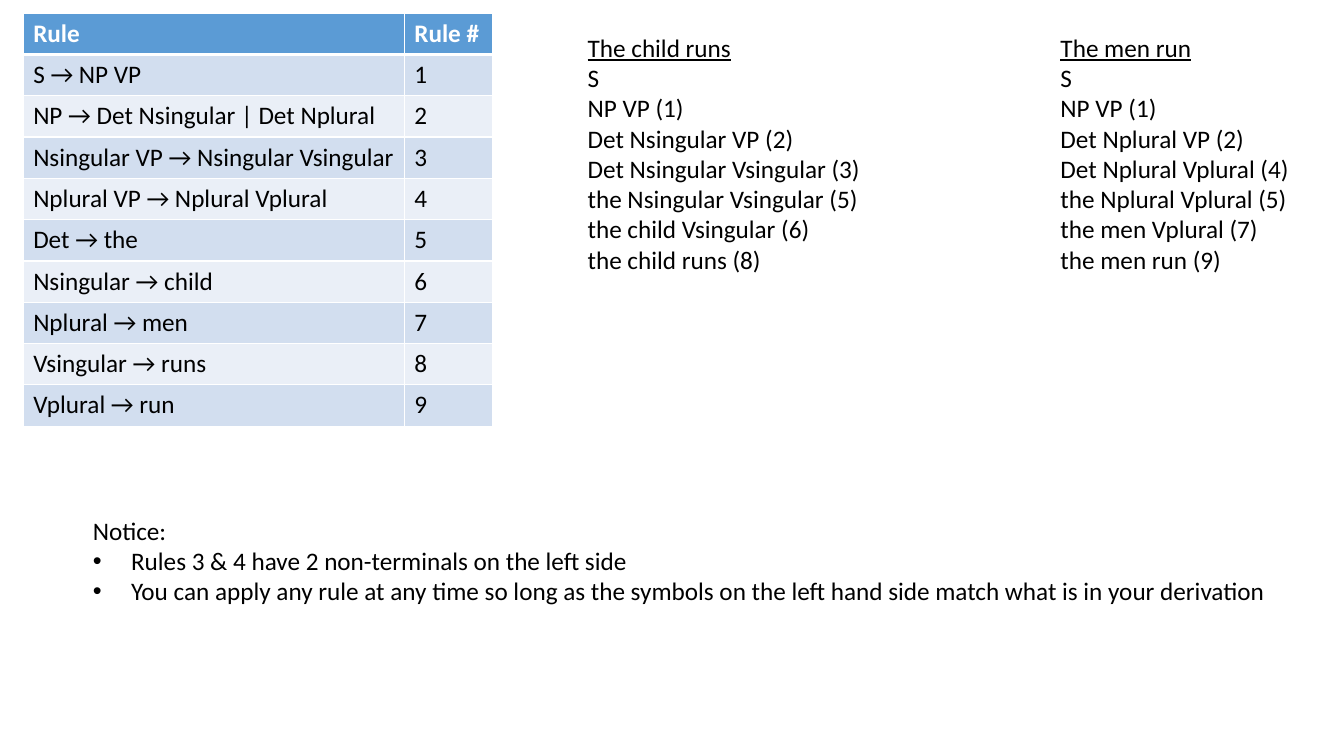
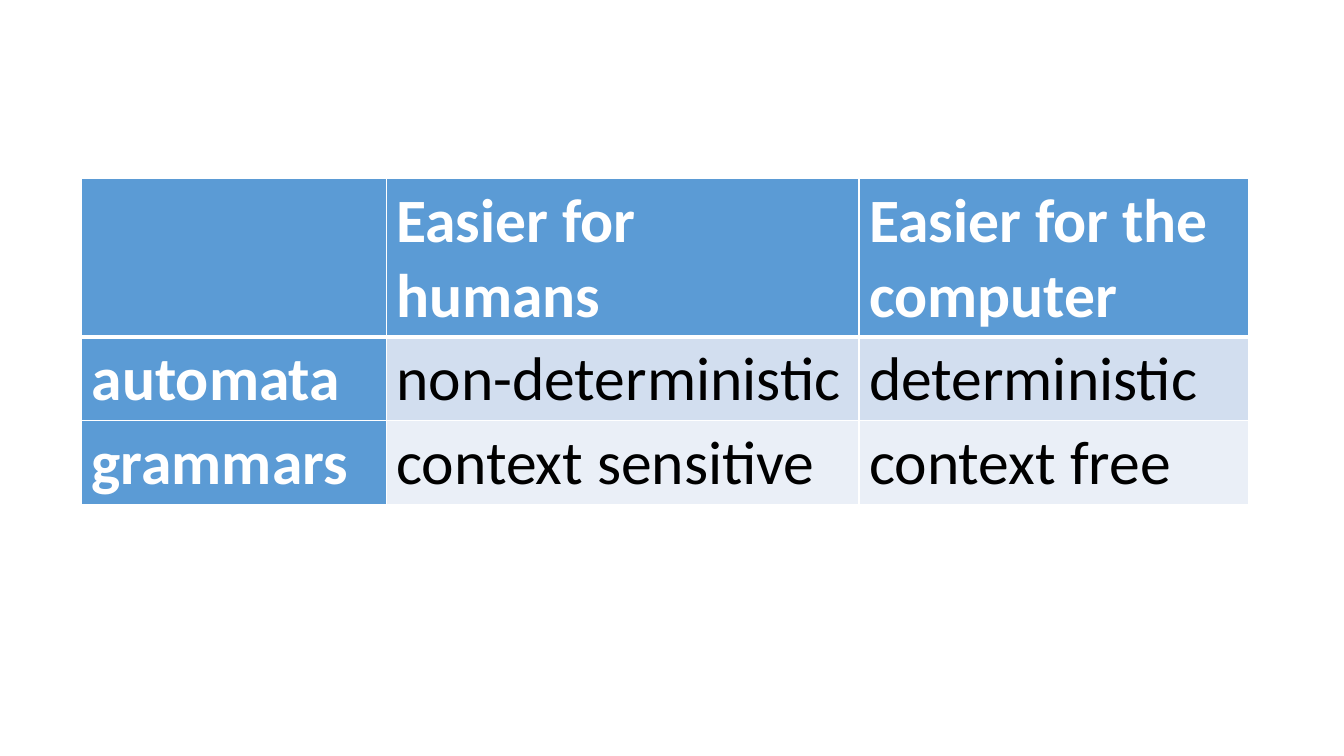
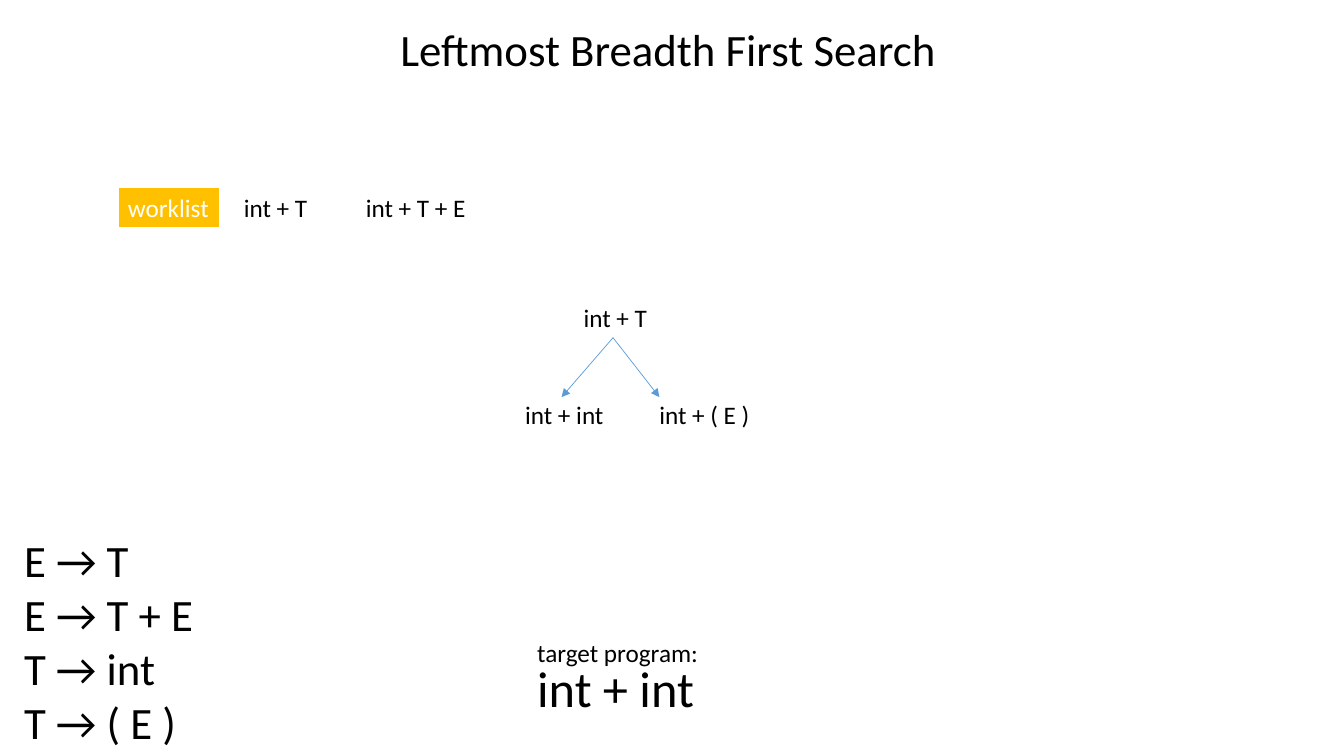
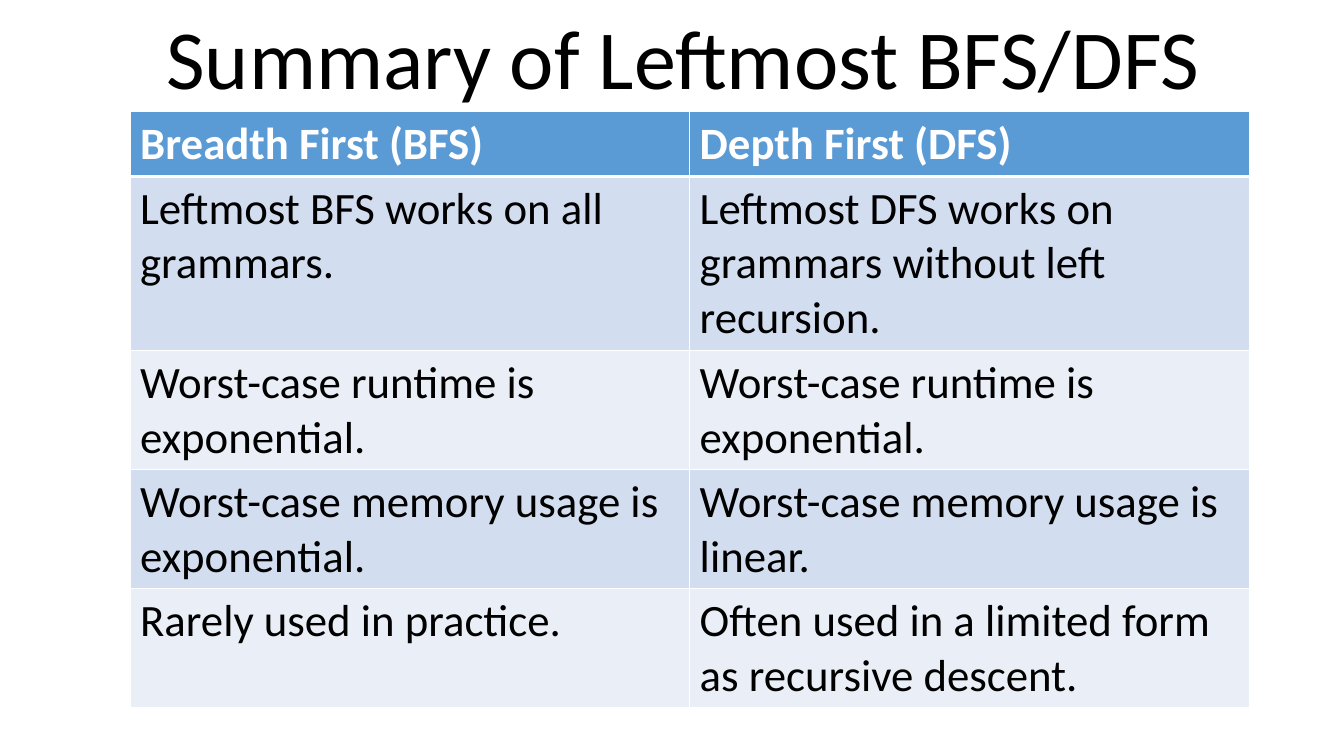
from dataclasses import dataclass

from lxml import etree
from pptx import Presentation
from pptx.dml.color import RGBColor
from pptx.enum.shapes import MSO_CONNECTOR, MSO_SHAPE
from pptx.enum.text import MSO_ANCHOR, MSO_AUTO_SIZE, PP_ALIGN
from pptx.oxml.ns import qn
from pptx.util import Inches, Pt


@dataclass(frozen=True)
class Theme:
    font: str = "Calibri"
    text: str = "000000"
    light: str = "FFFFFF"
    accent: str = "5B9BD5"
    highlight: str = "FFC000"
    bands: tuple = ("D2DEEF", "EAEFF7")
    body_size: int = 18
    title_size: int = 32
    rule_size: int = 32
    target_size: int = 36
    comparison_size: int = 44
    summary_title_size: int = 60


THEME = Theme()
TITLE_AND_BODY, TITLE_ONLY, BLANK = 1, 5, 6

# Content: grammar derivations
GRAMMAR = [
    "S → NP VP",
    "NP → Det Nsingular | Det Nplural",
    "Nsingular VP → Nsingular Vsingular",
    "Nplural VP → Nplural Vplural",
    "Det → the",
    "Nsingular → child",
    "Nplural → men",
    "Vsingular → runs",
    "Vplural → run",
]
DERIVATIONS = [
    ((5.73, 0.27, 2.99, 2.52), "The child runs",
     ["S", "NP VP (1)", "Det Nsingular VP (2)", "Det Nsingular Vsingular (3)",
      "the Nsingular Vsingular (5)", "the child Vsingular (6)", "the child runs (8)"]),
    ((10.42, 0.27, 2.53, 2.52), "The men run",
     ["S", "NP VP (1)", "Det Nplural VP (2)", "Det Nplural Vplural (4)",
      "the Nplural Vplural (5)", "the men Vplural (7)", "the men run (9)"]),
]
NOTICE = "Notice:"
NOTICE_POINTS = [
    "Rules 3 & 4 have 2 non-terminals on the left side",
    "You can apply any rule at any time so long as the symbols on the left hand side "
    "match what is in your derivation",
]

# Content: comparison of models
COMPARISON = [
    ["", "Easier for humans", "Easier for the computer"],
    ["automata", "non-deterministic", "deterministic"],
    ["grammars", "context sensitive", "context free"],
]

# Content: breadth first search
SEARCH_RULES = ["E → T", "E → T + E", "T → int", "T → ( E )"]
SEARCH_LABELS = [
    ("target program:", (5.23, 6.27, 1.88, 0.4)),
    ("int + T", (2.32, 1.86, 0.84, 0.4)),
    ("int + T + E", (3.53, 1.86, 1.2, 0.4)),
    ("int + T", (5.69, 2.95, 0.84, 0.4)),
    ("int + int", (5.11, 3.91, 0.99, 0.4)),
    ("int + ( E )", (6.44, 3.91, 1.11, 0.4)),
]
BRANCH_START = (6.08, 3.35)
BRANCH_ENDS = [(5.57, 3.94), (6.54, 3.94)]

# Content: summary
SUMMARY = [
    ["Breadth First (BFS)", "Depth First (DFS)"],
    ["Leftmost BFS works on all grammars.",
     "Leftmost DFS works on grammars without left recursion."],
    ["Worst-case runtime is exponential.", "Worst-case runtime is exponential."],
    ["Worst-case memory usage is exponential.", "Worst-case memory usage is linear."],
    ["Rarely used in practice.", "Often used in a limited form as recursive descent."],
]


def rgb(color):
    return RGBColor.from_string(color)


def inches(values):
    return [Inches(value) for value in values]


# Text
def add_run(paragraph, text, size, color=THEME.text, bold=False, underline=False):
    run = paragraph.add_run()
    run.text = text
    font = run.font
    font.name, font.size, font.bold = THEME.font, Pt(size), bold
    font.underline = underline
    font.color.rgb = rgb(color)


def write_lines(shape, lines, size, color=THEME.text, heading=False):
    """Fill a shape with one paragraph per line, sized to its text."""
    frame = shape.text_frame
    frame.word_wrap = False
    frame.auto_size = MSO_AUTO_SIZE.SHAPE_TO_FIT_TEXT
    frame.vertical_anchor = MSO_ANCHOR.TOP
    for index, line in enumerate(lines):
        paragraph = frame.add_paragraph() if index else frame.paragraphs[0]
        paragraph.alignment = PP_ALIGN.LEFT
        paragraph.space_before = Pt(0)
        add_run(paragraph, line, size, color, underline=heading and index == 0)


def add_text(slide, lines, box, size=THEME.body_size, heading=False):
    shape = slide.shapes.add_textbox(*inches(box))
    write_lines(shape, lines, size, heading=heading)


def fill_placeholder(shape, lines, box, size):
    shape.left, shape.top, shape.width, shape.height = inches(box)
    write_lines(shape, lines, size)


def set_bullet(paragraph, character=None, indent=0.0):
    properties = paragraph._p.get_or_add_pPr()
    properties.set("marL", str(Inches(indent)))
    properties.set("indent", str(-Inches(indent)))
    if character:
        font = etree.SubElement(properties, qn("a:buFont"))
        font.set("typeface", "Arial")
        etree.SubElement(properties, qn("a:buChar")).set("char", character)
    else:
        etree.SubElement(properties, qn("a:buNone"))


# Tables
def set_borders(cell, top, bottom):
    properties = cell._tc.get_or_add_tcPr()
    widths = {"a:lnL": 1, "a:lnR": 1, "a:lnT": top, "a:lnB": bottom}
    for position, (tag, width) in enumerate(widths.items()):
        line = etree.Element(qn(tag))
        line.set("w", str(Pt(width)))
        fill = etree.SubElement(line, qn("a:solidFill"))
        etree.SubElement(fill, qn("a:srgbClr")).set("val", THEME.light)
        properties.insert(position, line)


def add_grid(slide, rows, position, widths, heights, size, header_column=False):
    box = (*position, sum(widths), sum(heights))
    table = slide.shapes.add_table(len(rows), len(widths), *inches(box)).table
    table.horz_banding = False
    for column, width in zip(table.columns, widths):
        column.width = Inches(width)
    for row_index, (row, values) in enumerate(zip(table.rows, rows)):
        row.height = Inches(heights[row_index])
        for column_index, value in enumerate(values):
            cell = table.cell(row_index, column_index)
            header = row_index == 0 or (header_column and column_index == 0)
            cell.fill.solid()
            cell.fill.fore_color.rgb = rgb(
                THEME.accent if header else THEME.bands[(row_index - 1) % 2])
            set_borders(cell, top=3 if row_index == 1 else 1,
                        bottom=3 if row_index == 0 else 1)
            if value:
                add_run(cell.text_frame.paragraphs[0], value, size,
                        THEME.light if header else THEME.text, bold=header)


# Shapes
def add_arrow(slide, start, end):
    arrow = slide.shapes.add_connector(MSO_CONNECTOR.STRAIGHT, *inches((*start, *end)))
    arrow.line.color.rgb = rgb(THEME.accent)
    arrow.line.width = Pt(0.5)
    etree.SubElement(arrow.line._get_or_add_ln(), qn("a:tailEnd")).set("type", "triangle")
    etree.SubElement(arrow._element.spPr, qn("a:effectLst"))


def add_tag(slide, text, box):
    tag = slide.shapes.add_shape(MSO_SHAPE.RECTANGLE, *inches(box))
    tag.shadow.inherit = False
    tag.fill.solid()
    tag.fill.fore_color.rgb = rgb(THEME.highlight)
    tag.line.color.rgb = rgb(THEME.light)
    tag.line.width = Pt(1.5)
    write_lines(tag, [text], THEME.body_size, THEME.light)


# Slides
def add_slide(presentation, layout):
    return presentation.slides.add_slide(presentation.slide_layouts[layout])


def build_derivations(presentation):
    slide = add_slide(presentation, TITLE_AND_BODY)
    title = slide.shapes.title._element
    title.getparent().remove(title)
    for box, sentence, steps in DERIVATIONS:
        add_text(slide, [sentence, *steps], box, heading=True)
    rows = [["Rule", "Rule #"]]
    rows += [[rule, str(number)] for number, rule in enumerate(GRAMMAR, 1)]
    add_grid(slide, rows, (0.23, 0.13), [3.78, 0.88], [0.41] * len(rows), THEME.body_size)
    body = slide.placeholders[1]
    fill_placeholder(body, [NOTICE, *NOTICE_POINTS], (0.82, 5.06, 11.98, 1.62),
                     THEME.body_size)
    heading, *points = body.text_frame.paragraphs
    set_bullet(heading)
    for point in points:
        set_bullet(point, "•", 0.38)


def build_comparison(presentation):
    slide = add_slide(presentation, BLANK)
    add_grid(slide, COMPARISON, (0.81, 1.77), [3.02, 4.69, 3.86], [1.57, 0.83, 0.83],
             THEME.comparison_size, header_column=True)


def build_search(presentation):
    slide = add_slide(presentation, TITLE_ONLY)
    fill_placeholder(slide.shapes.title, ["Leftmost Breadth First Search"],
                     (3.87, 0.17, 5.58, 0.64), THEME.title_size)
    add_text(slide, SEARCH_RULES, (0.14, 5.24, 1.93, 2.26), THEME.rule_size)
    add_text(slide, ["int + int"], (5.23, 6.47, 1.77, 0.71), THEME.target_size)
    add_tag(slide, "worklist", (1.17, 1.86, 1.01, 0.4))
    for label, box in SEARCH_LABELS:
        add_text(slide, [label], box)
    for end in BRANCH_ENDS:
        add_arrow(slide, BRANCH_START, end)


def build_summary(presentation):
    slide = add_slide(presentation, TITLE_ONLY)
    add_grid(slide, SUMMARY, (1.29, 1.11), [5.55] * 2, [0.64, 1.73] + [1.18] * 3,
             THEME.rule_size)
    fill_placeholder(slide.shapes.title, ["Summary of Leftmost BFS/DFS"],
                     (1.55, 0, 10.57, 1.11), THEME.summary_title_size)


def main():
    presentation = Presentation()
    presentation.slide_width, presentation.slide_height = Inches(13.33), Inches(7.5)
    for build in (build_derivations, build_comparison, build_search, build_summary):
        build(presentation)
    presentation.save("out.pptx")


if __name__ == "__main__":
    main()
